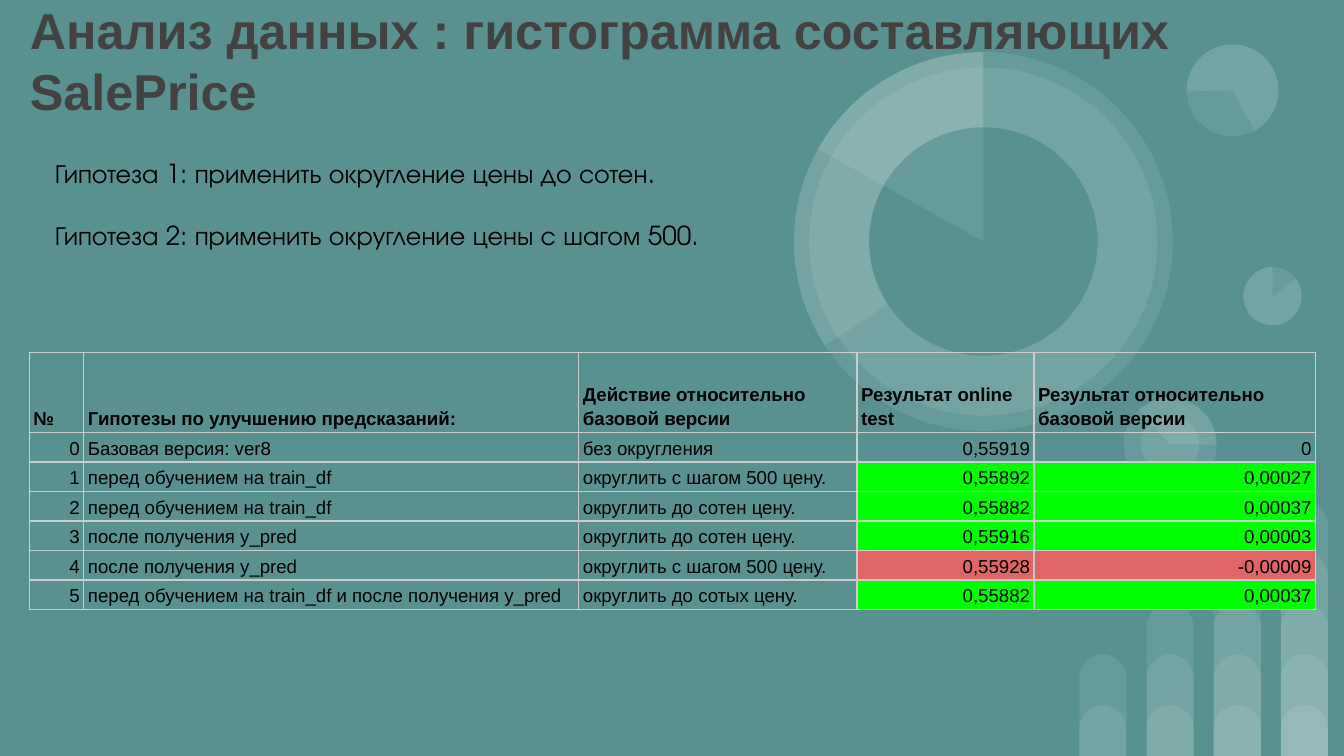
import pptx
import pptx.dml.color
import pptx.enum.shapes
import pptx.enum.text
import pptx.oxml.ns
import pptx.util
from lxml import etree

Pt = pptx.util.Pt
qn = pptx.oxml.ns.qn
SHAPE = pptx.enum.shapes.MSO_SHAPE
ALIGN = pptx.enum.text.PP_ALIGN
ANCHOR = pptx.enum.text.MSO_ANCHOR
FIT = pptx.enum.text.MSO_AUTO_SIZE

WIDTH, HEIGHT = 720, 405
TEAL, WHITE, BLACK = "599191", "FFFFFF", "000000"
GREEN, RED = "00FF00", "E06666"

DISCS = [
    (681.7, 158.7, 31.2, 0, None, WHITE),
    (522.4, 286.9, 25.2, 196.2, None, WHITE),
    (626.8, 238, 49.7, 90, None, WHITE),
    (626.8, 238, 49.7, 90, (137.41, 270.77), WHITE),
    (626.8, 238, 31.2, 90, None, WHITE),
    (681.7, 158.7, 31.2, 0, (322.95, 270), WHITE),
    (660.3, 48.4, 49.2, 215.9, None, WHITE),
    (660.3, 48.4, 49.2, 215.9, (322.95, 205.23), WHITE),
    (526.8, 129.4, 203, 0, None, WHITE),
    (526.8, 129.4, 186.6, 34.1, None, WHITE),
    (526.8, 129.4, 203, 0, (146.69, 270), WHITE),
    (526.8, 129.4, 122.4, 34.1, None, TEAL),
    (526.8, 129.4, 203, 0, (209.24, 270), WHITE),
    (522.4, 286.9, 25.2, 196.2, (322.95, 270), WHITE),
]

COLUMNS = [29.2, 265.2, 149, 94.9, 150.8]
ROWS = [
    ("№", "Гипотезы по улучшению предсказаний:", "Действие относительно базовой версии",
     "Результат online test", "Результат относительно базовой версии"),
    ("0", "Базовая версия: ver8", "без округления", "0,55919", "0"),
    ("1", "перед обучением на train_df", "округлить с шагом 500 цену.", "0,55892", "0,00027"),
    ("2", "перед обучением на train_df", "округлить до сотен цену.", "0,55882", "0,00037"),
    ("3", "после получения y_pred", "округлить до сотен цену.", "0,55916", "0,00003"),
    ("4", "после получения y_pred", "округлить с шагом 500 цену.", "0,55928", "-0,00009"),
    ("5", "перед обучением на train_df и после получения y_pred", "округлить до сотых цену.",
     "0,55882", "0,00037"),
]
RESULT_FILLS = [None, None, GREEN, GREEN, GREEN, RED, GREEN]


def paint(fill, color):
    fill.solid()
    fill.fore_color.rgb = pptx.dml.color.RGBColor.from_string(color)


def format_para(para, font, size, color, bold=False):
    for span in para.runs:
        span.font.name = font
        span.font.size = Pt(size)
        span.font.bold = bold
        paint(span.font.fill, color)


def add_veil(group, kind, left, top, width, height, color=WHITE):
    shape = group.shapes.add_shape(kind, Pt(left), Pt(top), Pt(width), Pt(height))
    shape.shadow.inherit = False
    shape.line.fill.background()
    paint(shape.fill, color)
    if color == WHITE:
        tint = shape.element.spPr.find(".//" + qn("a:srgbClr"))
        etree.SubElement(tint, qn("a:alpha"), val="9000")
    return shape


def add_bars(page):
    group = page.shapes.add_group_shape()
    for column in range(4):
        for level in range(1, column + 3):
            height = 27.2 * level
            bar = add_veil(group, SHAPE.ROUND_2_SAME_RECTANGLE,
                           578.2 + 36 * column, HEIGHT - height, 25.2, height)
            bar.adjustments[0] = 0.5


def add_discs(page):
    group = page.shapes.add_group_shape()
    for x, y, size, rotation, angles, color in DISCS:
        kind = SHAPE.PIE if angles else SHAPE.OVAL
        disc = add_veil(group, kind, x - size / 2, y - size / 2, size, size, color)
        disc.rotation = rotation
        for index, angle in enumerate(angles or ()):
            disc.adjustments[index] = angle * 0.6


def set_frame(frame, anchor):
    frame.word_wrap = True
    frame.auto_size = FIT.NONE
    frame.vertical_anchor = anchor
    frame.margin_left = frame.margin_right = Pt(7.2)
    frame.margin_top = frame.margin_bottom = Pt(7.2)


def add_title(page):
    title = page.shapes.title
    title.left, title.top, title.width, title.height = Pt(8.8), Pt(-34.6), Pt(711.2), Pt(133.2)
    title.element.getparent().append(title.element)
    set_frame(title.text_frame, ANCHOR.MIDDLE)
    title.text_frame.text = "Анализ данных : гистограмма составляющих SalePrice"
    para = title.text_frame.paragraphs[0]
    para.alignment = ALIGN.LEFT
    format_para(para, "Arial", 27, "424242", True)


def add_borders(cell):
    properties = cell._tc.get_or_add_tcPr()
    for side in ("a:lnL", "a:lnR", "a:lnT", "a:lnB"):
        line = etree.SubElement(properties, qn(side), w=str(Pt(0.75)))
        fill = etree.SubElement(line, qn("a:solidFill"))
        etree.SubElement(fill, qn("a:srgbClr"), val="CCCCCC")


def fill_cell(cell, text, header, numeric, color):
    cell.margin_left = cell.margin_right = Pt(2.25)
    cell.margin_top = cell.margin_bottom = Pt(1.5)
    cell.vertical_anchor = ANCHOR.BOTTOM
    add_borders(cell)
    if color:
        paint(cell.fill, color)
    else:
        cell.fill.background()
    cell.text_frame.text = text
    para = cell.text_frame.paragraphs[0]
    para.line_spacing = 1.15
    para.alignment = ALIGN.RIGHT if numeric and not header else ALIGN.LEFT
    format_para(para, "Arial", 10, BLACK, header)


def add_results(page):
    heights = [43] + [15.8] * (len(ROWS) - 1)
    table = page.shapes.add_table(len(ROWS), len(COLUMNS), Pt(15.7), Pt(188.7),
                                  Pt(sum(COLUMNS)), Pt(sum(heights))).table
    table.first_row = table.horz_banding = False
    for column, width in zip(table.columns, COLUMNS):
        column.width = Pt(width)
    for i, texts in enumerate(ROWS):
        table.rows[i].height = Pt(heights[i])
        for j, text in enumerate(texts):
            color = RESULT_FILLS[i] if j >= 3 else None
            fill_cell(table.cell(i, j), text, i == 0, j in (0, 3, 4), color)


def add_hypotheses(page):
    box = page.shapes.add_textbox(Pt(22.3), Pt(77), Pt(419.8), Pt(65.5))
    frame = box.text_frame
    set_frame(frame, ANCHOR.TOP)
    frame.text = ("Гипотеза 1: применить округление цены до сотен.\n"
                  "Гипотеза 2: применить округление цены с шагом 500.")
    for para in frame.paragraphs:
        format_para(para, "TeX Gyre Adventor", 14, BLACK)
    frame.paragraphs[1].space_before = Pt(16.6)


def main():
    deck = pptx.Presentation()
    deck.slide_width, deck.slide_height = Pt(WIDTH), Pt(HEIGHT)
    page = deck.slides.add_slide(deck.slide_layouts[5])
    paint(page.background.fill, TEAL)
    add_bars(page)
    add_discs(page)
    add_title(page)
    add_results(page)
    add_hypotheses(page)
    deck.save("out.pptx")


if __name__ == "__main__":
    main()
